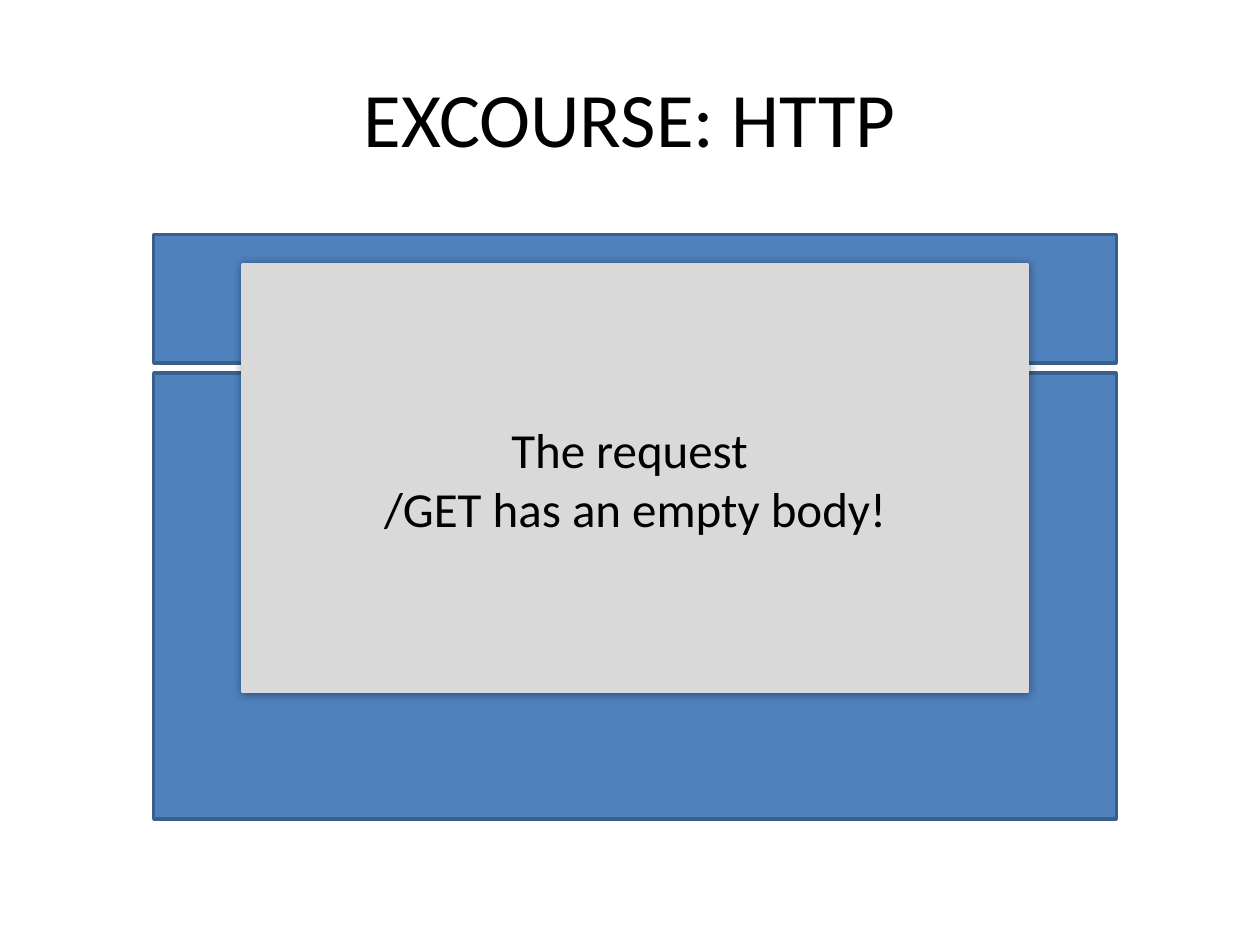
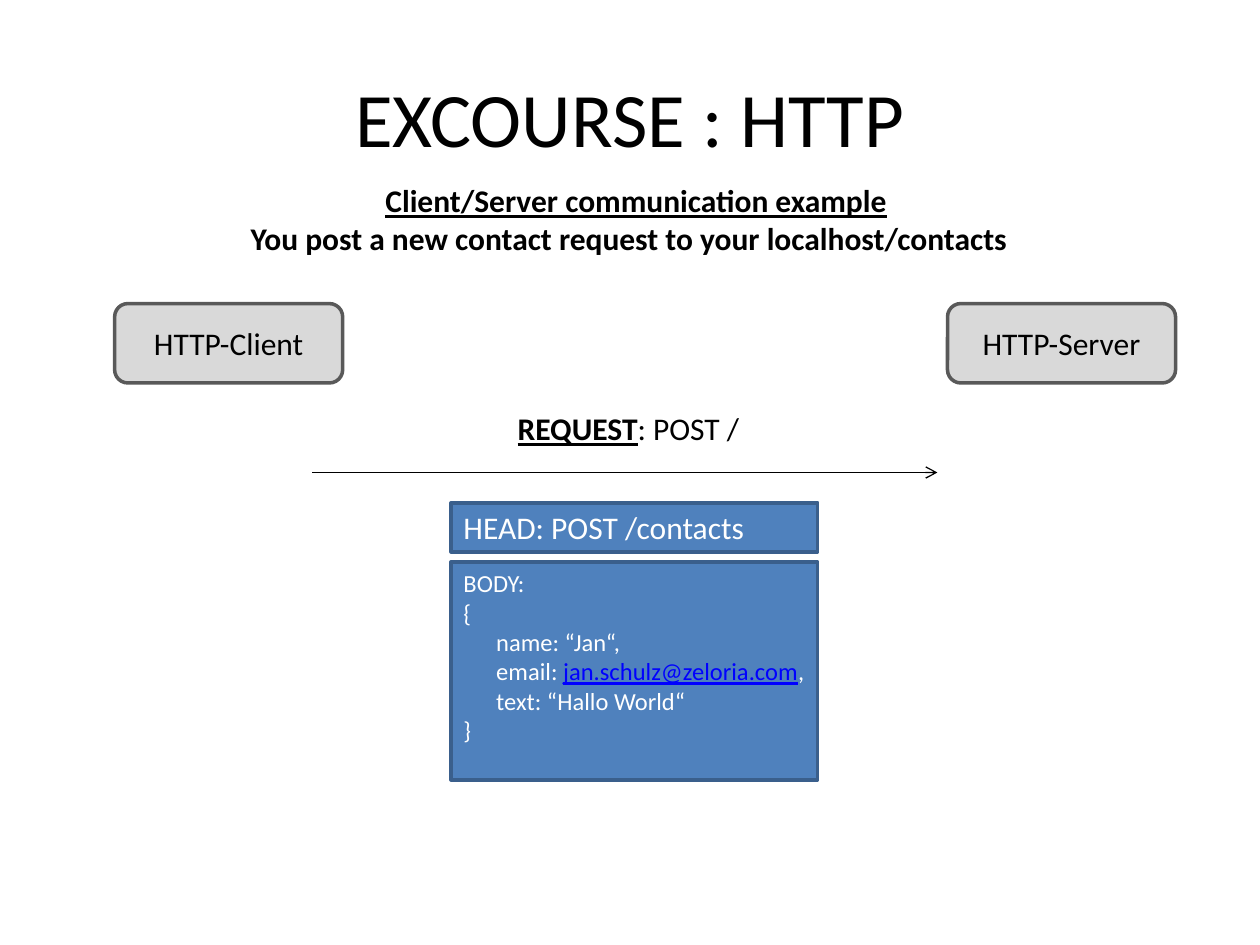
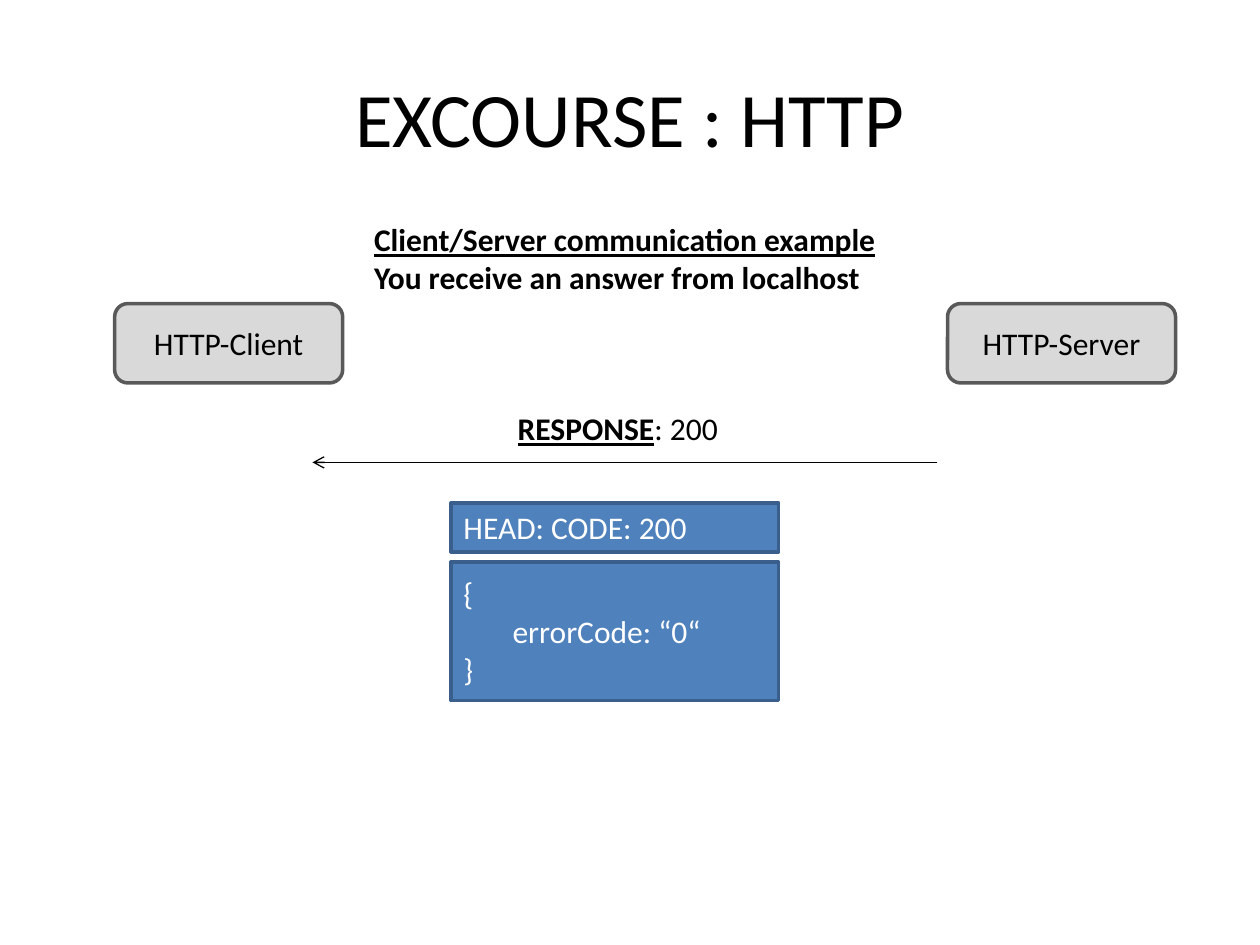
from dataclasses import dataclass

from lxml import etree
from pptx import Presentation
from pptx.dml.color import RGBColor
from pptx.enum import shapes, text
from pptx.oxml import ns
from pptx.util import Inches, Pt

BLACK = RGBColor(0x00, 0x00, 0x00)
WHITE = RGBColor(0xFF, 0xFF, 0xFF)
BLUE = RGBColor(0x4F, 0x81, 0xBD)
NAVY = RGBColor(0x3A, 0x5F, 0x8C)
SILVER = RGBColor(0xD9, 0xD9, 0xD9)
SLATE = RGBColor(0x59, 0x59, 0x59)
LINK = RGBColor(0x00, 0x00, 0xFF)

RECT = shapes.MSO_SHAPE.RECTANGLE
ROUNDED = shapes.MSO_SHAPE.ROUNDED_RECTANGLE
MIDDLE = text.MSO_ANCHOR.MIDDLE
TOP = text.MSO_ANCHOR.TOP
CENTER = text.PP_ALIGN.CENTER
LEFT = text.PP_ALIGN.LEFT


@dataclass
class Span:
    words: str
    bold: bool | None = None
    underline: bool | None = None
    color: RGBColor | None = None


@dataclass
class Line:
    spans: list
    indent: float = 0
    bold: bool = False
    underline: bool = False


def plain(*lines):
    return [Line([Span(line)]) for line in lines]


class Deck:
    font = "Calibri"

    def __init__(self):
        self.prs = Presentation()
        self.prs.slide_width, self.prs.slide_height = Inches(10), Inches(7.5)

    def new_slide(self, title):
        self.slide = self.prs.slides.add_slide(self.prs.slide_layouts[6])
        heading = self.label(plain(title), (0.5, 0.3, 9, 1.25), size=44, align=CENTER, wrap=True)
        heading.vertical_anchor = MIDDLE

    def fill_lines(self, frame, lines, size, color, align):
        for number, line in enumerate(lines):
            paragraph = frame.add_paragraph() if number else frame.paragraphs[0]
            paragraph.alignment = align
            if line.indent:
                paragraph._p.get_or_add_pPr().set("marL", str(Inches(line.indent)))
            font = paragraph.font
            font.name, font.size = self.font, Pt(size)
            font.bold, font.underline = line.bold, line.underline
            font.color.rgb = color
            for span in line.spans:
                run = paragraph.add_run()
                run.text = span.words
                if span.bold is not None:
                    run.font.bold = span.bold
                if span.underline is not None:
                    run.font.underline = span.underline
                if span.color is not None:
                    run.font.color.rgb = span.color

    def label(self, lines, place, size=18, align=LEFT, wrap=False):
        frame = self.slide.shapes.add_textbox(*map(Inches, place)).text_frame
        frame.word_wrap = wrap
        if not wrap:
            frame.auto_size = text.MSO_AUTO_SIZE.SHAPE_TO_FIT_TEXT
        self.fill_lines(frame, lines, size, BLACK, align)
        return frame

    def box(self, place, lines=(), kind=RECT, fill=BLUE, edge=NAVY, size=18,
            color=WHITE, align=LEFT, anchor=MIDDLE):
        shape = self.slide.shapes.add_shape(kind, *map(Inches, place))
        shape.shadow.inherit = False
        shape.fill.solid()
        shape.fill.fore_color.rgb = fill
        shape.line.color.rgb = edge
        shape.line.width = Pt(2)
        shape.text_frame.word_wrap = True
        shape.text_frame.vertical_anchor = anchor
        self.fill_lines(shape.text_frame, lines, size, color, align)
        return shape

    def glow_card(self, place, lines):
        card = self.box(place, lines, fill=SILVER, edge=SILVER, size=28, color=BLACK, align=CENTER)
        effects = card._element.spPr.find(ns.qn("a:effectLst"))
        shadow = etree.SubElement(effects, ns.qn("a:outerShdw"), blurRad=str(Pt(5)), dist="0", dir="0")
        tint = etree.SubElement(shadow, ns.qn("a:srgbClr"), val=str(BLACK))
        etree.SubElement(tint, ns.qn("a:alpha"), val="40000")

    def arrow(self, start, end, y):
        connector = self.slide.shapes.add_connector(
            shapes.MSO_CONNECTOR.STRAIGHT, *map(Inches, (start, y, end, y)))
        connector.line.color.rgb = BLACK
        connector.line.width = Pt(0.75)
        etree.SubElement(connector.line._get_or_add_ln(), ns.qn("a:tailEnd"), type="arrow")
        etree.SubElement(connector._element.spPr, ns.qn("a:effectLst"))

    def endpoints(self):
        for name, left in (("HTTP-Client", 0.91), ("HTTP-Server", 7.52)):
            self.box((left, 2.41, 1.81, 0.63), plain(name), ROUNDED, SILVER, SLATE,
                     color=BLACK, align=CENTER)

    def caption(self, keyword, rest, width):
        self.label([Line([Span(keyword, bold=True, underline=True), Span(rest)])],
                   (4.01, 3.2, width, 0.4))

    def message(self, width, head, body, body_height, body_size=18, anchor=MIDDLE):
        self.box((3.58, 3.99, width, 0.39), plain(head))
        self.box((3.58, 4.46, width, body_height), body, size=body_size, anchor=anchor)

    def example(self, place, sentence, indents=(0, 0)):
        self.label([
            Line([Span("Client/Server communication example")], indents[0], bold=True, underline=True),
            Line([Span(sentence)], indents[1], bold=True),
        ], place)


def empty_body_slide(deck):
    deck.new_slide("EXCOURSE: HTTP")
    for top, height in ((1.86, 1.02), (2.96, 3.54)):
        deck.box((1.22, top, 7.64, height))
    deck.glow_card((1.93, 2.1, 6.22, 3.39), plain("The request ", "/GET has an empty body!"))


def request_slide(deck):
    deck.new_slide("EXCOURSE : HTTP")
    deck.endpoints()
    deck.arrow(2.48, 7.44, 3.75)
    deck.caption("REQUEST", ": POST /", 1.98)
    fields = [
        [Span("name: “Jan“,")],
        [Span("email: "), Span("jan.schulz@zeloria.com", underline=True, color=LINK), Span(",")],
        [Span("text: “Hallo World“")],
    ]
    body = plain("BODY:", "{") + [Line(field, indent=0.26) for field in fields] + plain("}")
    deck.message(2.91, "HEAD: POST /contacts", body, 1.73, body_size=14, anchor=TOP)
    deck.example((1.84, 1.39, 6.31, 0.71),
                 "You post a new contact request to your localhost/contacts", (1.12, 0.05))


def response_slide(deck):
    deck.new_slide("EXCOURSE : HTTP")
    deck.endpoints()
    deck.arrow(7.44, 2.48, 3.67)
    deck.caption("RESPONSE", ": 200", 1.81)
    body = plain("{") + [Line([Span("errorCode: “0“")], indent=0.39)] + plain("}")
    deck.message(2.6, "HEAD: CODE: 200", body, 1.1)
    deck.example((2.87, 1.7, 4.21, 0.71), "You receive an answer from localhost")


def main():
    deck = Deck()
    empty_body_slide(deck)
    request_slide(deck)
    response_slide(deck)
    deck.prs.save("out.pptx")


if __name__ == "__main__":
    main()
